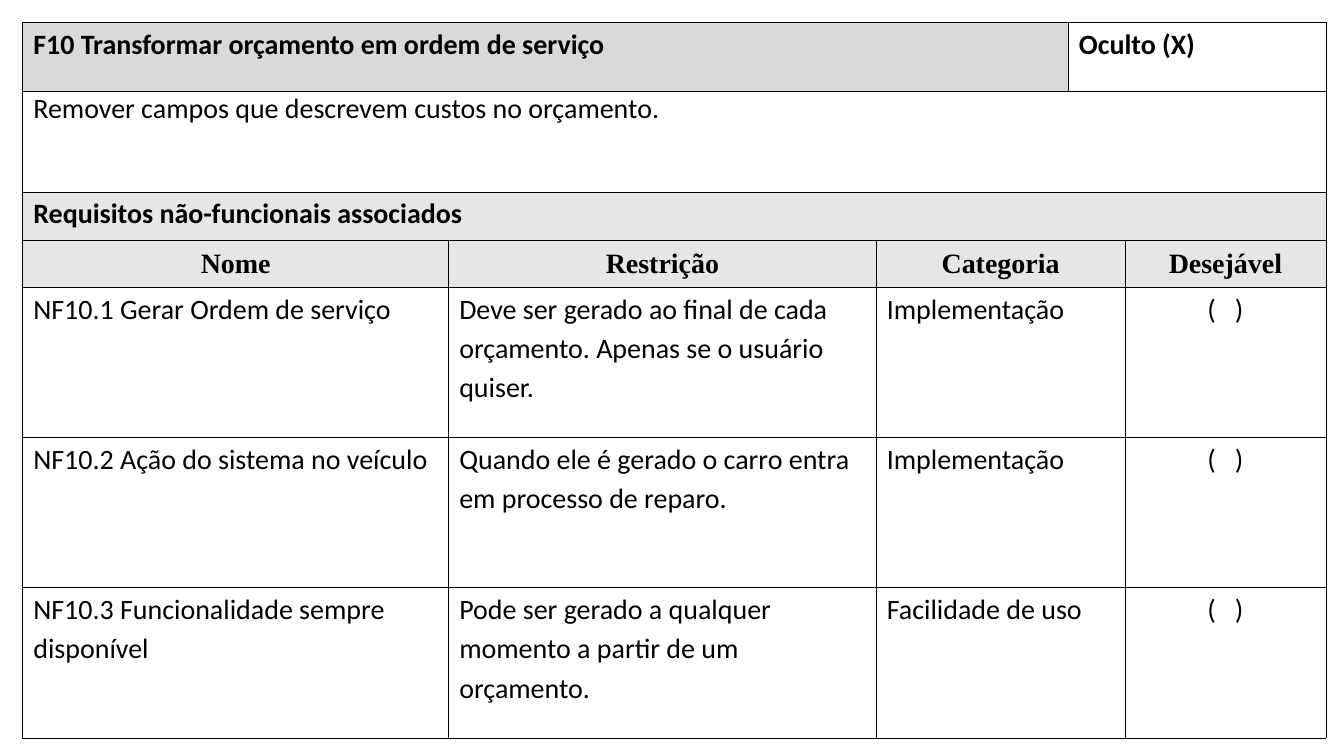
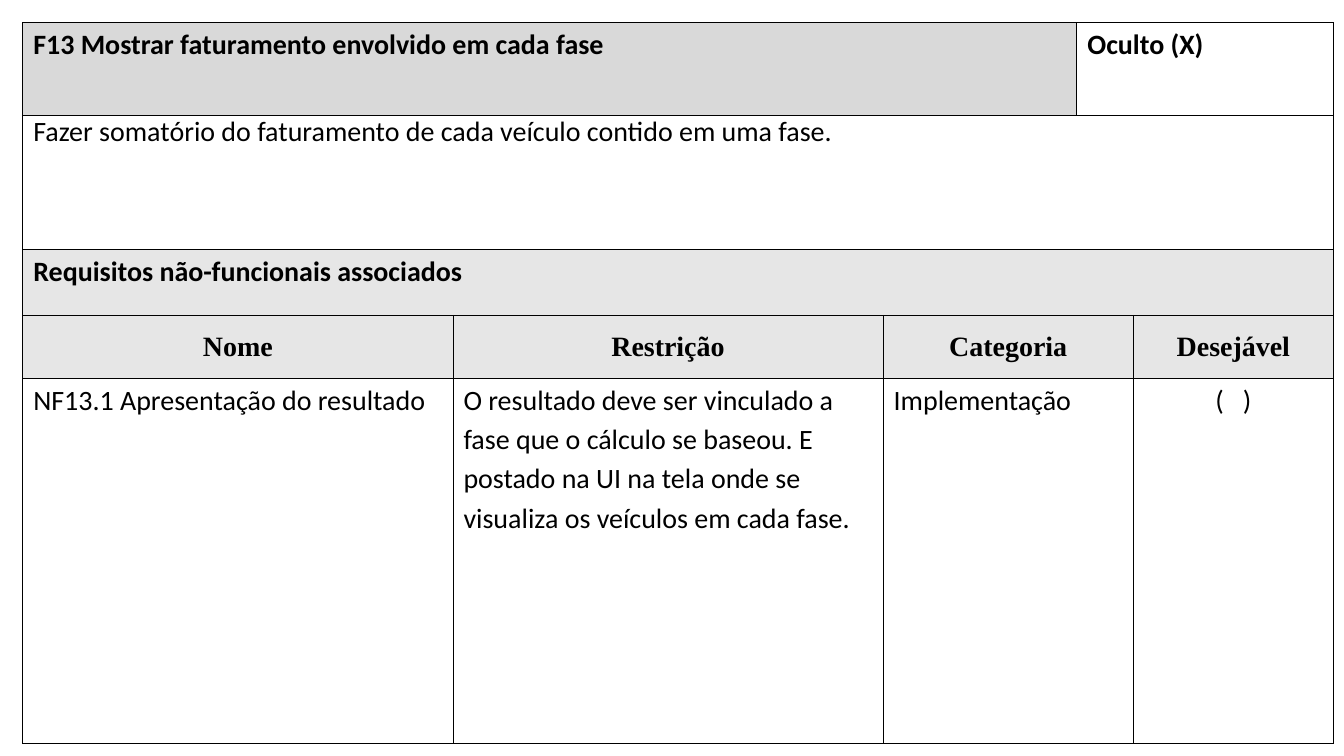
from dataclasses import dataclass

from lxml.etree import SubElement
from pptx import Presentation
from pptx.dml.color import RGBColor
from pptx.enum.text import MSO_ANCHOR as Anchor, PP_ALIGN as Align
from pptx.oxml.ns import qn
from pptx.util import Cm, Pt

REQUIREMENTS = [
    {
        "title": "F10 Transformar orçamento em ordem de serviço",
        "description": "Remover campos que descrevem custos no orçamento.",
        "items": [
            ("NF10.1 Gerar Ordem de serviço",
             "Deve ser gerado ao final de cada orçamento. Apenas se o usuário quiser.",
             "Implementação"),
            ("NF10.2 Ação do sistema no veículo",
             "Quando ele é gerado o carro entra em processo de reparo.",
             "Implementação"),
            ("NF10.3 Funcionalidade sempre disponível",
             "Pode ser gerado a qualquer momento a partir de um orçamento.",
             "Facilidade de uso"),
        ],
        "columns": (8.05, 8.08, 3.63, 1.07, 3.8),
        "top_rows": (1.3, 1.9, 0.92, 0.88),
        "item_height": 2.84,
    },
    {
        "title": "F13 Mostrar faturamento envolvido em cada fase",
        "description": "Fazer somatório do faturamento de cada veículo contido em uma fase.",
        "items": [
            ("NF13.1 Apresentação do resultado",
             "O resultado deve ser vinculado a fase que o cálculo se baseou. "
             "E postado na UI na tela onde se visualiza os veículos em cada fase.",
             "Implementação"),
        ],
        "columns": (8.13, 8.13, 3.66, 1.07, 3.78),
        "top_rows": (1.75, 2.54, 1.24, 1.19),
        "item_height": 6.91,
    },
]
VISIBILITY = "Oculto (X)"
SECTION = "Requisitos não-funcionais associados"
HEADINGS = ("Nome", "Restrição", "Categoria", "Desejável")
CHECKBOX = "(   )"
FIELD_SPANS = ((0, 0), (1, 1), (2, 3), (4, 4))


@dataclass(frozen=True)
class Theme:
    text: str = "000000"
    border: str = "000000"
    title_fill: str = "D9D9D9"
    section_fill: str = "E6E6E6"
    font: str = "Calibri"
    heading_font: str = "Times New Roman"
    size: float = 15
    border_width: float = 0.5
    margin: float = 0.43
    padding: float = 0.2


THEME = Theme()


def write(cell, text, bold=False, font=THEME.font, align=Align.LEFT,
          anchor=Anchor.TOP, line=1.15, before=0, after=10):
    cell.margin_left = cell.margin_right = Cm(THEME.padding)
    cell.margin_top = cell.margin_bottom = 0
    cell.vertical_anchor = anchor
    paragraph = cell.text_frame.paragraphs[0]
    paragraph.alignment = align
    paragraph.line_spacing = line
    paragraph.space_before, paragraph.space_after = Pt(before), Pt(after)
    run = paragraph.add_run()
    run.text = text
    run.font.name, run.font.size, run.font.bold = font, Pt(THEME.size), bold
    run.font.color.rgb = RGBColor.from_string(THEME.text)


def add_borders(cell):
    properties = cell._tc.get_or_add_tcPr()
    for side in ("a:lnL", "a:lnR", "a:lnT", "a:lnB"):
        border = SubElement(properties, qn(side), w=str(Pt(THEME.border_width)))
        fill = SubElement(border, qn("a:solidFill"))
        SubElement(fill, qn("a:srgbClr"), val=THEME.border)


def fill_cell(cell, color):
    if color:
        cell.fill.solid()
        cell.fill.fore_color.rgb = RGBColor.from_string(color)
    else:
        cell.fill.background()


def add_field(table, row, span, text, fill=None, **text_format):
    first, last = span
    cell = table.cell(row, first)
    if last > first:
        cell.merge(table.cell(row, last))
    for column in range(first, last + 1):
        part = table.cell(row, column)
        add_borders(part)
        fill_cell(part, fill)
    write(cell, text, **text_format)


def add_requirement(slide, requirement):
    columns = requirement["columns"]
    items = requirement["items"]
    heights = (*requirement["top_rows"], *[requirement["item_height"]] * len(items))
    table = slide.shapes.add_table(
        len(heights), len(columns), Cm(THEME.margin), Cm(THEME.margin),
        Cm(sum(columns)), Cm(sum(heights))).table
    table.first_row = table.horz_banding = False
    for column, width in zip(table.columns, columns):
        column.width = Cm(width)
    for row, height in zip(table.rows, heights):
        row.height = Cm(height)

    add_field(table, 0, (0, 2), requirement["title"], THEME.title_fill, bold=True)
    add_field(table, 0, (3, 4), VISIBILITY, bold=True)
    add_field(table, 1, (0, 4), requirement["description"], line=1, after=0)
    add_field(table, 2, (0, 4), SECTION, THEME.section_fill, bold=True, after=0)
    for span, heading in zip(FIELD_SPANS, HEADINGS):
        add_field(table, 3, span, heading, THEME.section_fill, bold=True,
                  font=THEME.heading_font, align=Align.CENTER,
                  anchor=Anchor.MIDDLE, line=1, before=2, after=2)
    for row, item in enumerate(items, start=4):
        for span, text in zip(FIELD_SPANS, (*item, CHECKBOX)):
            align = Align.CENTER if text == CHECKBOX else Align.LEFT
            add_field(table, row, span, text, align=align)


def main():
    presentation = Presentation()
    presentation.slide_width, presentation.slide_height = Cm(25.4), Cm(14.29)
    for requirement in REQUIREMENTS:
        slide = presentation.slides.add_slide(presentation.slide_layouts[6])
        add_requirement(slide, requirement)
    presentation.save("out.pptx")


if __name__ == "__main__":
    main()
